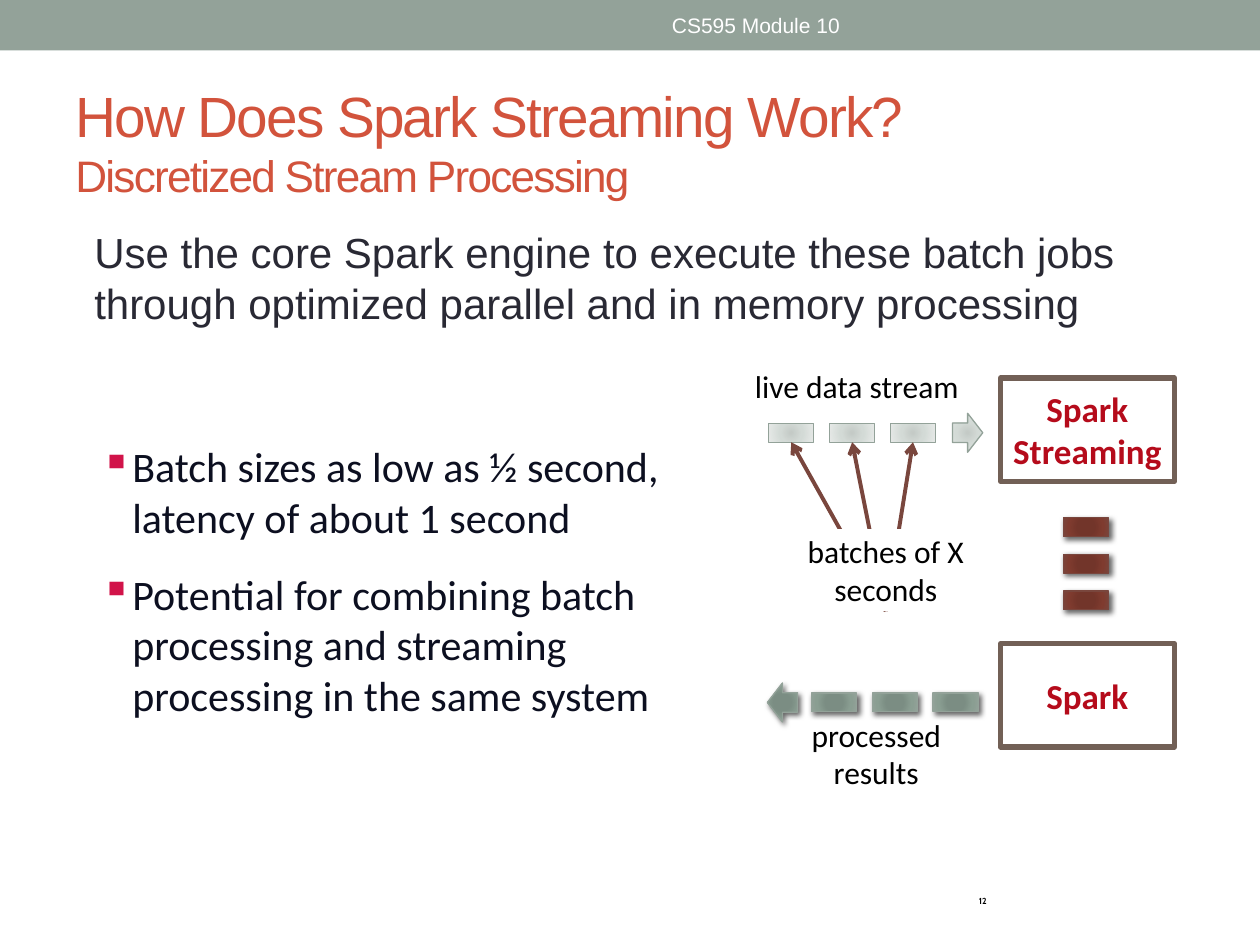
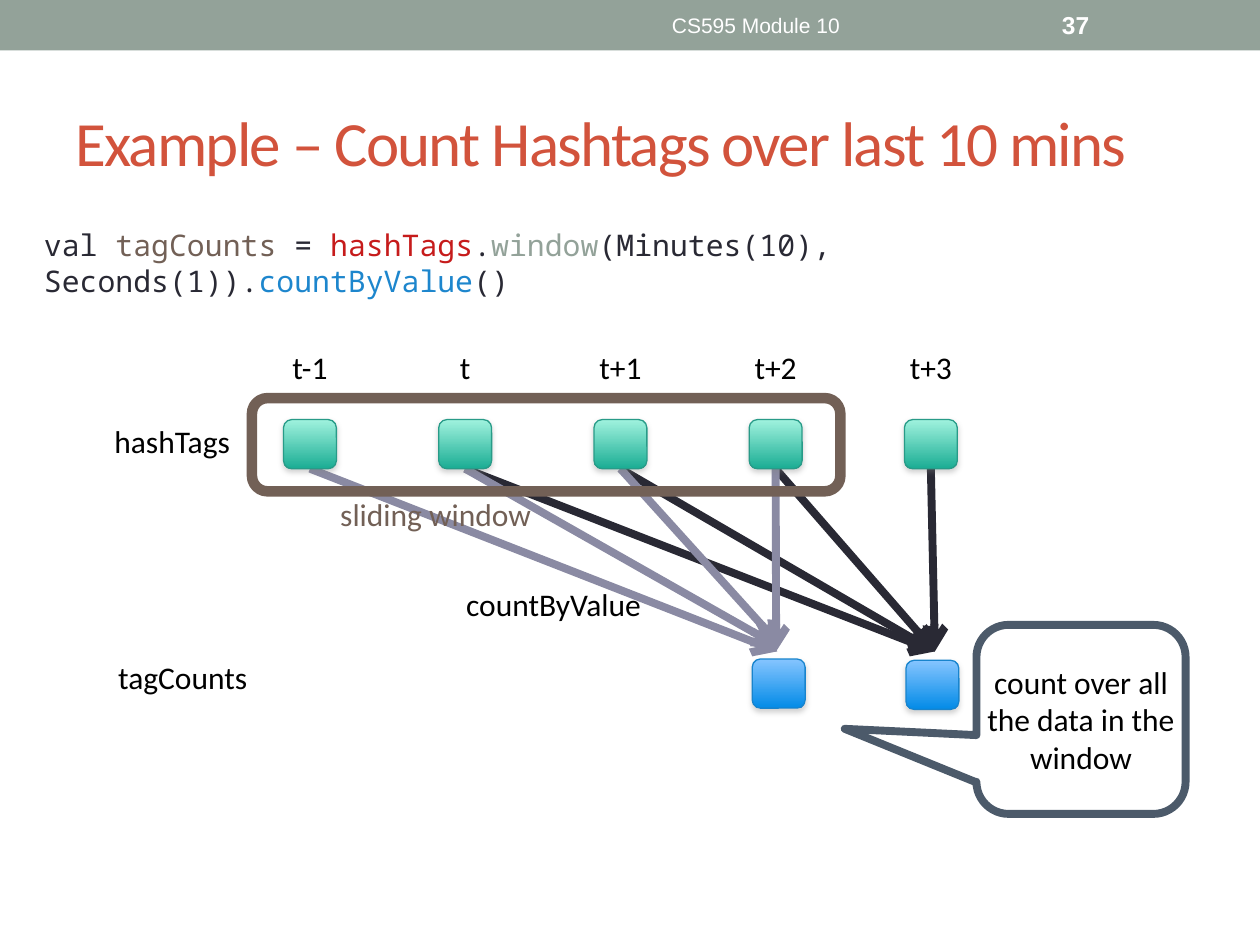
"""Build two slides on stream processing: batch flow and a sliding window count."""
import pptx
import pptx.dml.color
import pptx.enum.shapes
import pptx.enum.text
import pptx.oxml
import pptx.oxml.ns
import pptx.util
from lxml import etree

RGB = pptx.dml.color.RGBColor
SHAPE = pptx.enum.shapes.MSO_SHAPE
ANCHOR = pptx.enum.text.MSO_ANCHOR
ALIGN = pptx.enum.text.PP_ALIGN
qn = pptx.oxml.ns.qn

SAGE = RGB(0x93, 0xA2, 0x99)
WHITE = RGB(0xFF, 0xFF, 0xFF)
BLACK = RGB(0, 0, 0)
ORANGE = RGB(0xD2, 0x53, 0x3C)
INK = RGB(0x29, 0x29, 0x34)
NAVY = RGB(0x0C, 0x0F, 0x20)
PINK = RGB(0xD1, 0x13, 0x49)
TAUPE = RGB(0x72, 0x60, 0x56)
CRIMSON = RGB(0xB5, 0x0B, 0x1B)
BROWN = RGB(0x79, 0x46, 0x3D)
RED = RGB(0xC6, 0x1B, 0x1B)
BLUE = RGB(0x1D, 0x86, 0xCD)
BLUE_EDGE = RGB(0x18, 0x84, 0xCD)
GREEN_EDGE = RGB(0x28, 0x9B, 0x88)
LAVENDER = RGB(0x8A, 0x8A, 0xA3)
SLATE = RGB(0x4C, 0x5A, 0x6A)

PALE_FILL = [(0, "C4CAC6"), (45, "D3DAD6"), (100, "E7EAE8")]
SAGE_FILL = [(0, "7B8E82"), (34, "7B8D83"), (70, "8A9E92"), (100, "93A299")]
BROWN_FILL = [(0, "743327"), (34, "72352A"), (70, "7F3B2F"), (100, "79463D")]
GREEN_FILL = [(0, "A0F2DE"), (100, "1BAD94")]
BLUE_FILL = [(0, "86C5FF"), (100, "038BE7")]
HARD_SHADOW = ("000000", 60, 3, 2, 45)
SOFT_SHADOW = ("808080", 35, 3.1, 1.8, 90)

FOOTER = "CS595 Module 10"
FLOW_TITLE = [("How Does Spark Streaming Work?", {}), ("\n", {}),
              ("Discretized Stream Processing", {"size": 25.2})]
FLOW_LEAD = ("Use the core Spark engine to execute these batch jobs "
             "through optimized parallel and in memory processing")
FLOW_POINTS = [
    "Batch sizes as low as ½ second, latency of about 1 second",
    "Potential for combining batch processing and streaming "
    "processing in the same system",
]
ENGINES = [(51.1, ["Spark"]), (30, ["Spark", "Streaming"])]
FLOW_LABELS = [
    ((59.7, 42, 21.2, 6.5), "batches of X seconds", WHITE),
    ((58.4, 28.9, 19.2, 3.5), "live data stream", WHITE),
    ((61.5, 56.6, 16.1, 6), "processed results", None),
]
WINDOW_TITLE = "Example – Count Hashtags over last 10 mins"
WINDOW_CODE = [
    ("val ", {}), ("tagCounts ", {"color": TAUPE}), ("= ", {}),
    ("hashTags", {"color": RED}), (".", {}), ("window", {"color": SAGE}),
    ("(Minutes(10), Seconds(1)).", {}), ("countByValue", {"color": BLUE}),
    ("()", {}),
]
TIMES = ["t-1", "t", "t+1", "t+2", "t+3"]
ROW_LABELS = [((8.1, 33, 11.3, 4), "hashTags"), ((8.4, 51.7, 12.4, 4), "tagCounts")]
WINDOW_LABELS = [((26.6, 39.1, 16.2, 3.5), "sliding window", TAUPE),
                 ((36.6, 46.2, 14.9, 3.5), "countByValue", BLACK)]
CALLOUT = "count over all the data in the window"

GRID = pptx.util.Inches(0.1)
COLUMNS, ROWS = 100, 75
TITLE_BOX = (5, 5.8, 90, 10.8)
BATCH_SIZE = (3.6, 1.5)
BATCH_STEP = 4.83
TAG_SIZE = (4.2, 3.9)
TAG_LEFT, TAG_TOP, TAG_STEP = 22.5, 33.3, 12.32
COUNTS = [(59.7, 52.3), (71.9, 52.4)]
COUNT_ARROWS = [
    (INK, 1, [(74.2, 51.7)] * 4),
    (LAVENDER, 0, [(61.7, 51.7), (61.6, 51.2), (61.9, 51.2), (61.6, 51.7)]),
]


def grid(*values):
    """Turn grid units into lengths."""
    return [round(value * GRID) for value in values]


def drawing(parent, tag, **attributes):
    """Add a drawing element under parent."""
    values = {name: str(value) for name, value in attributes.items()}
    return etree.SubElement(parent, qn("a:" + tag), values)


def paint_gradient(shape, stops, angle=None):
    """Fill a shape with a linear gradient, or a radial one without angle."""
    shape.fill.background()
    properties = shape.element.spPr
    gradient = pptx.oxml.parse_xml(
        "<a:gradFill %s/>" % pptx.oxml.ns.nsdecls("a"))
    properties.replace(properties.find(qn("a:noFill")), gradient)
    stop_list = drawing(gradient, "gsLst")
    for position, color in stops:
        drawing(drawing(stop_list, "gs", pos=position * 1000), "srgbClr", val=color)
    if angle is None:
        radial = drawing(gradient, "path", path="circle")
        drawing(radial, "fillToRect", l=100000, t=100000, r=100000, b=100000)
    else:
        drawing(gradient, "lin", ang=angle * 60000, scaled=0)


def cast_shadow(shape, color, alpha, blur, distance, angle):
    """Give a shape an outer shadow."""
    effects = shape.element.spPr.find(qn("a:effectLst"))
    outer = drawing(effects, "outerShdw", blurRad=round(blur * 12700),
                    dist=round(distance * 12700), dir=angle * 60000,
                    algn="ctr", rotWithShape=0)
    drawing(drawing(outer, "srgbClr", val=color), "alpha", val=alpha * 1000)


def add_shape(slide, kind, box, fill=None, line=None, width=0.75,
              angle=None, shadow=None):
    """Add a preset shape; a list as fill means gradient stops."""
    shape = slide.shapes.add_shape(kind, *grid(*box))
    shape.shadow.inherit = False
    if isinstance(fill, list):
        paint_gradient(shape, fill, angle)
    elif fill is None:
        shape.fill.background()
    else:
        shape.fill.solid()
        shape.fill.fore_color.rgb = fill
    if line is None:
        shape.line.fill.background()
    else:
        shape.line.color.rgb = line
        shape.line.width = pptx.util.Pt(width)
    if shadow:
        cast_shadow(shape, *shadow)
    return shape


def add_arrow(slide, start, end, color, width):
    """Add a straight line with an open arrowhead at its end."""
    connector = slide.shapes.add_connector(
        pptx.enum.shapes.MSO_CONNECTOR.STRAIGHT, *grid(*start, *end))
    connector.line.color.rgb = color
    connector.line.width = pptx.util.Pt(width)
    properties = connector.element.spPr
    drawing(properties.find(qn("a:ln")), "tailEnd", type="arrow")
    drawing(properties, "effectLst")


def write(shape, paragraphs, font="Calibri", size=18, color=BLACK, bold=False,
          align=ALIGN.LEFT, anchor=ANCHOR.TOP, inset=(1, 0.5), wrap=True,
          tracking=None, indent=0, bullet=None, space_before=0):
    """Write paragraphs, each a string or a list of (text, changes) runs."""
    frame = shape.text_frame
    frame.word_wrap = wrap
    if not wrap:
        frame.auto_size = pptx.enum.text.MSO_AUTO_SIZE.SHAPE_TO_FIT_TEXT
    frame.vertical_anchor = anchor
    frame.margin_left, frame.margin_top = grid(*inset)
    frame.margin_right, frame.margin_bottom = grid(*inset)
    for index, content in enumerate(paragraphs):
        paragraph = frame.add_paragraph() if index else frame.paragraphs[0]
        paragraph.alignment = align
        if index:
            paragraph.space_before = pptx.util.Pt(space_before)
        properties = paragraph._p.get_or_add_pPr()
        if indent:
            properties.set("marL", str(grid(indent)[0]))
            properties.set("indent", str(-grid(indent)[0] if bullet else 0))
        if bullet:
            drawing(drawing(properties, "buClr"), "srgbClr", val=PINK)
            drawing(properties, "buChar", char=bullet)
        runs = [(content, {})] if isinstance(content, str) else content
        for text, changes in runs:
            if text == "\n":
                paragraph.add_line_break()
                continue
            run = paragraph.add_run()
            run.text = text
            run.font.name = font
            run.font.size = pptx.util.Pt(changes.get("size", size))
            run.font.color.rgb = changes.get("color", color)
            run.font.bold = bold
            if tracking:
                run.font._element.set("spc", str(tracking * 100))


def add_text(slide, box, paragraphs, **text_format):
    """Add a text box."""
    write(slide.shapes.add_textbox(*grid(*box)), paragraphs, **text_format)


def add_base(presentation, title, **title_format):
    """Add a blank slide with the band, the footer and a title."""
    slide = presentation.slides.add_slide(presentation.slide_layouts[6])
    add_shape(slide, SHAPE.RECTANGLE, (0, 0, COLUMNS, 4), SAGE)
    add_text(slide, (37.5, 0.2, 45, 3.6), [FOOTER], font="Arial", size=12,
             color=WHITE, align=ALIGN.CENTER, anchor=ANCHOR.MIDDLE)
    add_text(slide, TITLE_BOX, [title], color=ORANGE, tracking=-1,
             anchor=ANCHOR.MIDDLE, **title_format)
    return slide


def build_flow(presentation):
    """Show how a live stream is cut into batches and processed."""
    slide = add_base(presentation, FLOW_TITLE, font="Arial", size=32.4)
    add_text(slide, (5, 17.5, 90, 53.3), [FLOW_LEAD], font="Arial", size=24,
             color=INK, indent=1.5)
    add_text(slide, (76.7, 69.5, 23.3, 4), ["12"], font="Cabin", size=5,
             bold=True, anchor=ANCHOR.MIDDLE)
    add_text(slide, (8, 35, 46.6, 30), FLOW_POINTS, size=24, color=NAVY,
             inset=(0, 0), indent=2.5, bullet="▪", space_before=15.1)

    add_shape(slide, SHAPE.RIGHT_ARROW, (75.6, 32.8, 2.4, 3.1), PALE_FILL, SAGE)
    back_arrow = add_shape(slide, SHAPE.RIGHT_ARROW, (60.9, 54.2, 2.4, 3.1),
                           SAGE_FILL, SAGE, shadow=HARD_SHADOW)
    back_arrow.rotation = 180
    for index in range(3):
        shift = index * BATCH_STEP
        add_shape(slide, SHAPE.RECTANGLE, (61 + shift, 33.6, *BATCH_SIZE),
                  PALE_FILL, SAGE)
        add_shape(slide, SHAPE.RECTANGLE, (64.4 + shift, 55, *BATCH_SIZE),
                  SAGE_FILL, SAGE, shadow=HARD_SHADOW)
        add_shape(slide, SHAPE.RECTANGLE, (84.4, 41.1 + index * 2.9, *BATCH_SIZE),
                  BROWN_FILL, BROWN, shadow=HARD_SHADOW)
        add_arrow(slide, (70.3, 48.5), (62.8 + shift, 35.1), BROWN, 2.25)
    for top, lines in ENGINES:
        engine = add_shape(slide, SHAPE.RECTANGLE, (79.4, top, 13.8, 8.2),
                           WHITE, TAUPE, 3)
        write(engine, lines, size=20, color=CRIMSON, bold=True, inset=(0.4, 0.2),
              align=ALIGN.CENTER, anchor=ANCHOR.MIDDLE)
    for box, text, fill in FLOW_LABELS:
        label = add_shape(slide, SHAPE.RECTANGLE, box, fill)
        write(label, [text], inset=(0.4, 0.2), align=ALIGN.CENTER)


def build_window(presentation):
    """Show hashtags counted over a sliding window."""
    slide = add_base(presentation, WINDOW_TITLE, size=36)
    add_text(slide, (83.3, 0.2, 11.7, 3.6), ["37"], font="Arial", size=14,
             color=WHITE, bold=True, anchor=ANCHOR.MIDDLE)
    add_text(slide, (2.5, 17.5, 95.8, 8.8), [WINDOW_CODE],
             font="Noto Sans Mono", size=17, color=INK)

    tag_width, tag_height = TAG_SIZE
    for color, first, targets in COUNT_ARROWS:
        for column, target in enumerate(targets, first):
            start = (TAG_LEFT + tag_width / 2 + column * TAG_STEP,
                     TAG_TOP + tag_height)
            add_arrow(slide, start, target, color, 4.5)
    for column, time in enumerate(TIMES):
        left = TAG_LEFT + column * TAG_STEP
        add_shape(slide, SHAPE.FLOWCHART_ALTERNATE_PROCESS,
                  (left, TAG_TOP, *TAG_SIZE), GREEN_FILL, GREEN_EDGE,
                  angle=90, shadow=SOFT_SHADOW)
        add_text(slide, (left - 0.75, 27.15, 5.7, 4), [time], inset=(0, 0.5),
                 align=ALIGN.CENTER)
    add_shape(slide, SHAPE.ROUNDED_RECTANGLE, (20, 31.6, 46.7, 7.4),
              line=TAUPE, width=6)
    for position in COUNTS:
        add_shape(slide, SHAPE.FLOWCHART_ALTERNATE_PROCESS,
                  (*position, *TAG_SIZE), BLUE_FILL, BLUE_EDGE,
                  angle=90, shadow=SOFT_SHADOW)
    for box, text in ROW_LABELS:
        add_text(slide, box, [text], wrap=False)
    for box, text, color in WINDOW_LABELS:
        add_text(slide, box, [text], color=color, inset=(0.4, 0.2), wrap=False)
    callout = add_shape(slide, SHAPE.ROUNDED_RECTANGULAR_CALLOUT,
                        (77.5, 49.6, 16.6, 15), WHITE, SLATE, 4.5)
    for index, value in enumerate((-1.13, 0.05, 0.17)):
        callout.adjustments[index] = value
    write(callout, [CALLOUT], inset=(0, 0.2), align=ALIGN.CENTER,
          anchor=ANCHOR.MIDDLE)


def main():
    """Build and save the presentation."""
    presentation = pptx.Presentation()
    presentation.slide_width, presentation.slide_height = grid(COLUMNS, ROWS)
    build_flow(presentation)
    build_window(presentation)
    presentation.save("out.pptx")


if __name__ == "__main__":
    main()
